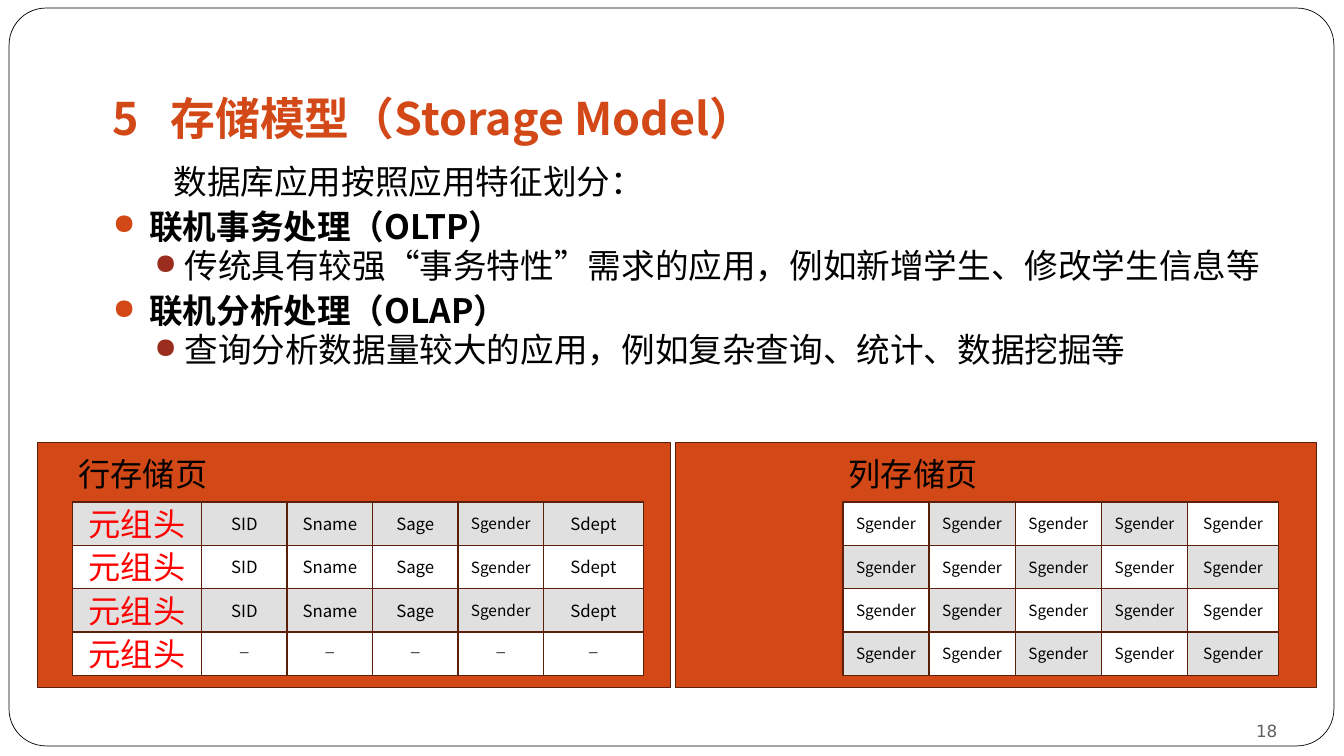
from dataclasses import dataclass
from itertools import accumulate

from lxml import etree
from pptx import Presentation
from pptx.dml.color import RGBColor
from pptx.enum.shapes import MSO_SHAPE
from pptx.enum.text import MSO_ANCHOR, PP_ALIGN
from pptx.oxml.ns import qn
from pptx.util import Inches, Pt

RECT, ROUND_RECT = MSO_SHAPE.RECTANGLE, MSO_SHAPE.ROUNDED_RECTANGLE
TOP, MIDDLE, BOTTOM = MSO_ANCHOR.TOP, MSO_ANCHOR.MIDDLE, MSO_ANCHOR.BOTTOM
LEFT, CENTER, RIGHT = PP_ALIGN.LEFT, PP_ALIGN.CENTER, PP_ALIGN.RIGHT


@dataclass(frozen=True)
class Theme:
    orange: str = "D34817"
    brick: str = "9B2D1F"
    brown: str = "5C200A"
    gray: str = "E1E0E0"
    white: str = "FFFFFF"
    black: str = "000000"
    red: str = "FF0000"
    page_gray: str = "646060"
    font: str = "Noto Sans CJK SC"
    dash_font: str = "Times New Roman"
    page_font: str = "DejaVu Sans"
    title: int = 32
    body: int = 24
    label: int = 23
    cell: int = 12
    small: int = 11


T = Theme()
ROW_H = 0.43


def add_text(p, text, size=T.body, color=T.black, bold=False, font=T.font, align=LEFT):
    p.alignment = align
    r = p.add_run()
    r.text = text
    r.font.size, r.font.bold, r.font.name = Pt(size), bold, font
    r.font.color.rgb = RGBColor.from_string(color)
    etree.SubElement(r.font._element, qn("a:ea")).set("typeface", font)


def set_frame(tf, anchor=TOP, margins=(0.1, 0.05, 0.1, 0.05)):
    tf.word_wrap = True
    tf.vertical_anchor = anchor
    tf.margin_left, tf.margin_top, tf.margin_right, tf.margin_bottom = map(Inches, margins)
    return tf


def add_box(shapes, box, kind=RECT, fill=T.white, line=T.brown, width=1):
    sp = shapes.add_shape(kind, *map(Inches, box))
    sp.shadow.inherit = False
    sp.fill.solid()
    sp.fill.fore_color.rgb = RGBColor.from_string(fill)
    sp.line.color.rgb = RGBColor.from_string(line)
    sp.line.width = Pt(width)
    return sp


def add_label(shapes, box, text, anchor=TOP, margins=(0.1, 0.05, 0.1, 0.05), **fmt):
    tb = shapes.add_textbox(*map(Inches, box))
    p = set_frame(tb.text_frame, anchor, margins).paragraphs[0]
    add_text(p, text, **fmt)
    return p


def add_bullet(p, indent, hang, color):
    pPr = p._p.get_or_add_pPr()
    pPr.set("marL", str(Inches(indent)))
    pPr.set("indent", str(Inches(-hang)))
    bu_clr = etree.SubElement(pPr, qn("a:buClr"))
    etree.SubElement(bu_clr, qn("a:srgbClr")).set("val", color)
    etree.SubElement(pPr, qn("a:buSzPct")).set("val", "85000")
    etree.SubElement(pPr, qn("a:buChar")).set("char", "●")


def add_title(s, box, text):
    """Title whose number is set off from its words by a tab stop."""
    p = add_label(s.shapes, box, text, BOTTOM, (0.12, 0.06, 0.12, 0.12),
                  size=T.title, color=T.orange, bold=True)
    tabs = etree.SubElement(p._p.get_or_add_pPr(), qn("a:tabLst"))
    etree.SubElement(tabs, qn("a:tab"), pos=str(Inches(0.57)), algn="l")


def add_body(s, box, intro, topics):
    p = add_label(s.shapes, box, intro, margins=(0.12, 0.06, 0.12, 0.06))
    p.line_spacing = 0.9
    p._p.get_or_add_pPr().set("marL", str(Inches(0.6)))
    tf = s.shapes[-1].text_frame
    for heading, detail in topics:
        p = tf.add_paragraph()
        p.line_spacing, p.space_before = 1.0, Pt(3.2)
        add_bullet(p, 0.36, 0.36, T.orange)
        add_text(p, heading, bold=True)
        p = tf.add_paragraph()
        p.level, p.line_spacing, p.space_before = 1, 0.9, Pt(2.3)
        add_bullet(p, 0.71, 0.3, T.brick)
        add_text(p, detail)


def add_cell(shapes, box, text, fill):
    tf = add_box(shapes, box, fill=fill).text_frame
    fmt = {"size": T.cell}
    if text == "元组头":
        fmt = {"size": T.label, "color": T.red}
    elif text == "Sgender":
        fmt = {"size": T.small}
    elif text == "_":
        fmt = {"size": T.cell, "font": T.dash_font}
    if text == "_":
        set_frame(tf, TOP, (0, 0.03, 0, 0))
    else:
        set_frame(tf, MIDDLE, (0, 0, 0, 0))
    add_text(tf.paragraphs[0], text, align=CENTER, **fmt)


def add_page(s, box, title, grid_left, widths, rows, is_gray):
    """Storage page: a panel with a label and a grid; is_gray(row, col) shades cells."""
    left, top = box[:2]
    shapes = s.shapes.add_group_shape().shapes
    add_box(shapes, box, fill=T.orange)
    grid_x, grid_y = left + grid_left, top + 0.59
    edges = list(accumulate(widths, initial=grid_x))
    for i, row in enumerate(rows):
        for j, text in enumerate(row):
            cell = (edges[j], grid_y + i * ROW_H, widths[j], ROW_H)
            add_cell(shapes, cell, text, T.gray if is_gray(i, j) else T.white)
    add_label(shapes, (grid_x - 0.04, top + 0.07, 1.9, 0.49), title, size=T.label)


def main():
    prs = Presentation()
    prs.slide_width, prs.slide_height = Inches(13.33), Inches(7.5)
    s = prs.slides.add_slide(prs.slide_layouts[6])
    frame = add_box(s.shapes, (0.09, 0.08, 13.14, 7.32), ROUND_RECT, line=T.black, width=0.5)
    frame.adjustments[0] = 0.05

    add_title(s, (1, 0.62, 11.33, 0.93), "5\t存储模型（Storage Model）")
    add_body(s, (1, 1.58, 11.65, 2.64), "数据库应用按照应用特征划分：", [
        ("联机事务处理（OLTP）", "传统具有较强“事务特性”需求的应用，例如新增学生、修改学生信息等"),
        ("联机分析处理（OLAP）", "查询分析数据量较大的应用，例如复杂查询、统计、数据挖掘等"),
    ])
    add_label(s.shapes, (11.56, 6.95, 1.11, 0.4), "18", BOTTOM, (0, 0, 0, 0),
              size=T.cell, color=T.page_gray, font=T.page_font, align=RIGHT)

    record = ["元组头", "SID", "Sname", "Sage", "Sgender", "Sdept"]
    add_page(s, (0.37, 4.39, 6.28, 2.43), "行存储页", 0.35,
             [1.28] + [3.39 / 4] * 4 + [0.99],
             [record] * 3 + [["元组头"] + ["_"] * 5],
             lambda i, j: i % 2 == 0)
    add_page(s, (6.7, 4.39, 6.36, 2.43), "列存储页", 1.66,
             [3.42 / 4] * 4 + [0.9],
             [["Sgender"] * 5] * 4,
             lambda i, j: (i + j) % 2 == 1)
    prs.save("out.pptx")


if __name__ == "__main__":
    main()
